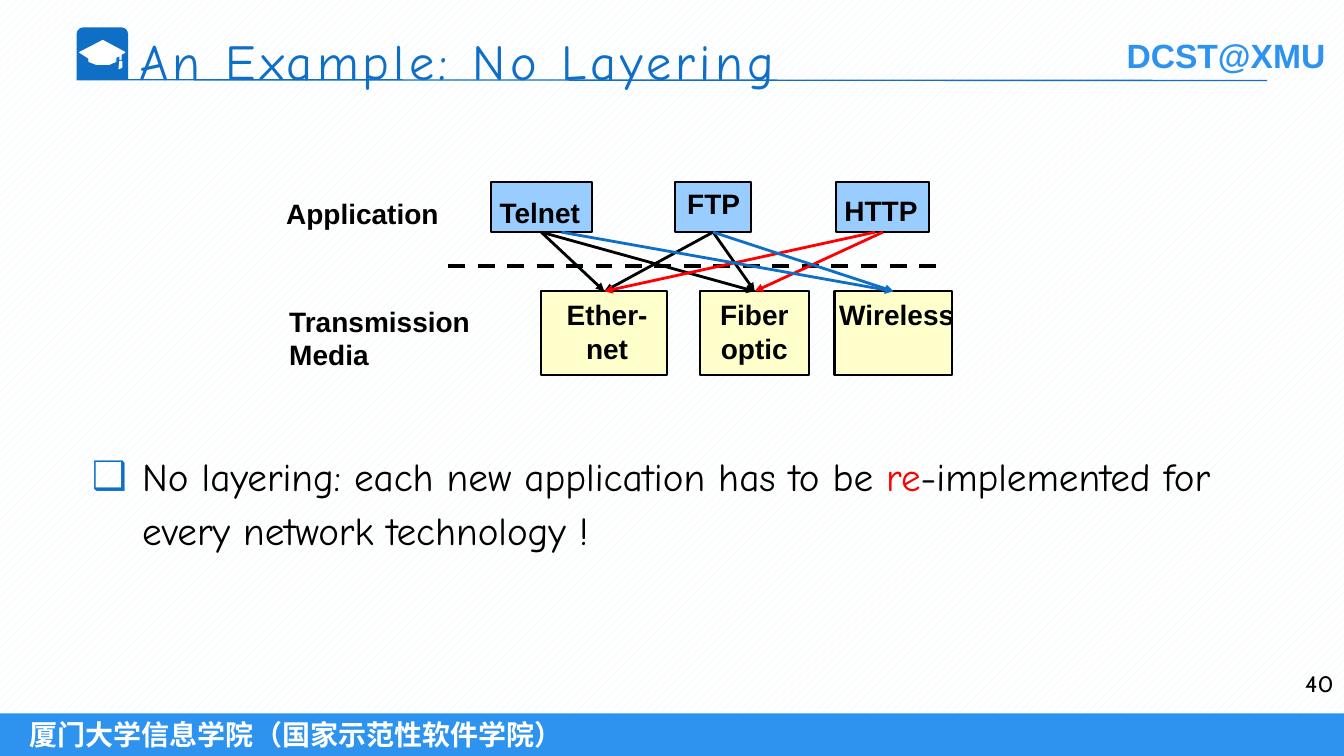
from lxml import etree
from pptx import Presentation
from pptx.dml.color import RGBColor
from pptx.enum.dml import MSO_LINE, MSO_PATTERN
from pptx.enum.shapes import MSO_CONNECTOR, MSO_SHAPE
from pptx.enum.text import MSO_ANCHOR, PP_ALIGN
from pptx.oxml.ns import qn
from pptx.util import Cm, Pt

RECTANGLE = MSO_SHAPE.RECTANGLE
ROUND_TOP = MSO_SHAPE.ROUND_2_SAME_RECTANGLE
STRAIGHT = MSO_CONNECTOR.STRAIGHT
DASH = MSO_LINE.DASH
DOTS = MSO_PATTERN.PERCENT_20
LEFT, CENTER, RIGHT = PP_ALIGN.LEFT, PP_ALIGN.CENTER, PP_ALIGN.RIGHT
TOP, MIDDLE = MSO_ANCHOR.TOP, MSO_ANCHOR.MIDDLE
TOP_SIDE, BOTTOM_SIDE = 0, 2

BLACK = RGBColor(0x00, 0x00, 0x00)
WHITE = RGBColor(0xFF, 0xFF, 0xFF)
RED = RGBColor(0xFF, 0x00, 0x00)
DEEP_BLUE = RGBColor(0x0F, 0x6F, 0xC6)
BRIGHT_BLUE = RGBColor(0x2D, 0x93, 0xEF)
PALE_BLUE = RGBColor(0xDB, 0xEF, 0xF9)
APPLICATION_BLUE = RGBColor(0x99, 0xCC, 0xFF)
MEDIA_YELLOW = RGBColor(0xFF, 0xFF, 0xCC)

SLIDE_WIDTH, SLIDE_HEIGHT = 33.87, 19.05
APPLICATION_TOP, APPLICATION_HEIGHT = 4.58, 1.27
MEDIA_TOP, MEDIA_HEIGHT = 7.34, 2.11


class SlideBuilder:
    heading_font = "Comic Neue"
    label_font = "Arial"
    number_font = "Cabin"

    def __init__(self, presentation):
        self.slide = presentation.slides.add_slide(presentation.slide_layouts[1])
        self.shapes = self.slide.shapes

    def box(self, left, top, width, height, fill, outline=None, kind=RECTANGLE):
        shape = self.shapes.add_shape(kind, Cm(left), Cm(top), Cm(width), Cm(height))
        shape.shadow.inherit = False
        shape.fill.solid()
        shape.fill.fore_color.rgb = fill
        if outline is None:
            shape.line.fill.background()
        else:
            shape.line.color.rgb = outline
            shape.line.width = Pt(1.5)
        return shape

    def backdrop(self):
        shape = self.box(0, 0, SLIDE_WIDTH, SLIDE_HEIGHT, WHITE)
        shape.fill.patterned()
        shape.fill.pattern = DOTS
        shape.fill.fore_color.rgb = PALE_BLUE
        shape.fill.back_color.rgb = WHITE

    def outline(self, contours, color):
        first, *others = contours
        builder = self.shapes.build_freeform(Cm(first[0][0]), Cm(first[0][1]))
        builder.add_line_segments([(Cm(x), Cm(y)) for x, y in first[1:]])
        for contour in others:
            builder.move_to(Cm(contour[0][0]), Cm(contour[0][1]))
            builder.add_line_segments([(Cm(x), Cm(y)) for x, y in contour[1:]])
        shape = builder.convert_to_shape()
        shape.shadow.inherit = False
        shape.fill.solid()
        shape.fill.fore_color.rgb = color
        shape.line.color.rgb = color
        shape.line.width = Pt(0.75)

    def run(self, paragraph, text, size, font, color, bold=False):
        run = paragraph.add_run()
        run.text = text
        run.font.size = Pt(size)
        run.font.name = font
        run.font.bold = bold
        run.font.color.rgb = color
        return run

    def label(self, left, top, width, height, lines, size=20, color=BLACK,
              align=LEFT, wrap=False, font=label_font, bold=True):
        frame = self.shapes.add_textbox(
            Cm(left), Cm(top), Cm(width), Cm(height)).text_frame
        frame.word_wrap = wrap
        for index, line in enumerate(lines):
            paragraph = frame.add_paragraph() if index else frame.paragraphs[0]
            paragraph.alignment = align
            self.run(paragraph, line, size, font, color, bold)

    def line(self, begin, end, color, width, dash=None, arrow=False):
        connector = self.shapes.add_connector(
            STRAIGHT, Cm(begin[0]), Cm(begin[1]), Cm(end[0]), Cm(end[1]))
        connector.line.color.rgb = color
        connector.line.width = Pt(width)
        if dash:
            connector.line.dash_style = dash
        if arrow:
            etree.SubElement(connector.line._get_or_add_ln(),
                             qn("a:tailEnd"), type="triangle")
        etree.SubElement(connector._element.spPr, qn("a:effectLst"))
        return connector

    def link(self, application, medium, color, begin=None):
        connector = self.line(begin or (0, 0), (0, 0), color, 2, arrow=True)
        if begin is None:
            connector.begin_connect(application, BOTTOM_SIDE)
        connector.end_connect(medium, TOP_SIDE)

    def placeholder(self, index, left, top, width, height):
        shape = self.slide.placeholders[index]
        shape.left, shape.top = Cm(left), Cm(top)
        shape.width, shape.height = Cm(width), Cm(height)
        shape.text_frame.vertical_anchor = TOP
        shape.text_frame.word_wrap = True
        element = shape._element
        element.getparent().append(element)
        paragraph = shape.text_frame.paragraphs[0]
        paragraph.alignment = LEFT
        paragraph.space_before = Pt(0)
        return paragraph

    def title(self, text):
        paragraph = self.placeholder(0, 3.25, 0.64, 23.7, 2.54)
        run = self.run(paragraph, text, 36, self.heading_font, DEEP_BLUE)
        run.font._element.set("spc", "300")

    def bullet(self, parts):
        paragraph = self.placeholder(1, 2.06, 11.11, 29.49, 6.3)
        paragraph.line_spacing = 1.14
        properties = paragraph._p.get_or_add_pPr()
        properties.set("marL", str(Cm(1.27)))
        properties.set("indent", str(-Cm(1.27)))
        bullet_color = etree.SubElement(properties, qn("a:buClr"))
        etree.SubElement(bullet_color, qn("a:srgbClr"), val=str(DEEP_BLUE))
        etree.SubElement(properties, qn("a:buChar"), char="❑")
        for text, color in parts:
            self.run(paragraph, text, 28, self.heading_font, color)

    def footer(self, text):
        bar = self.box(0, 17.98, SLIDE_WIDTH, 1.07, BRIGHT_BLUE)
        frame = bar.text_frame
        frame.margin_left = Cm(0.75)
        frame.vertical_anchor = MIDDLE
        frame.paragraphs[0].alignment = LEFT
        self.run(frame.paragraphs[0], text, 20, self.label_font, WHITE, True)


def main():
    presentation = Presentation()
    presentation.slide_width = Cm(SLIDE_WIDTH)
    presentation.slide_height = Cm(SLIDE_HEIGHT)
    builder = SlideBuilder(presentation)

    builder.backdrop()
    builder.footer("厦门大学信息学院（国家示范性软件学院）")
    builder.label(28.14, 0.75, 5.7, 1.27, ["DCST@XMU"], 24, BRIGHT_BLUE)
    tile = builder.box(1.93, 0.69, 1.3, 1.32, DEEP_BLUE, kind=ROUND_TOP)
    tile.adjustments[0] = 0.13
    cap_board = [(2.01, 1.32), (2.59, 1.02), (3.15, 1.32), (3.05, 1.37),
                 (3.05, 1.5), (3.02, 1.5), (3.02, 1.4), (2.92, 1.45),
                 (2.92, 1.55), (2.76, 1.62), (2.42, 1.62), (2.24, 1.55),
                 (2.24, 1.47)]
    tassel = [(3.02, 1.55), (3.07, 1.55), (3.07, 1.7), (3.0, 1.73)]
    builder.outline([cap_board, tassel], WHITE)
    builder.line((1.93, 2.01), (31.93, 2.03), DEEP_BLUE, 1)

    builder.title("An Example: No Layering")
    builder.bullet([("No layering: each new application has to be ", BLACK),
                    ("re", RED),
                    ("-implemented for every network technology !", BLACK)])
    builder.label(31.9, 16.76, 1.96, 1.27, ["40"], 16, align=RIGHT, wrap=True,
                  font=builder.number_font, bold=False)

    telnet, ftp, http = [
        builder.box(left, APPLICATION_TOP, width, APPLICATION_HEIGHT,
                    APPLICATION_BLUE, BLACK)
        for left, width in [(12.37, 2.54), (17.02, 1.9), (21.08, 2.34)]]
    ethernet, fiber, wireless = [
        builder.box(left, MEDIA_TOP, width, MEDIA_HEIGHT, MEDIA_YELLOW, BLACK)
        for left, width in [(13.64, 3.18), (17.65, 2.74), (21.03, 2.97)]]

    for left, top, width, text in [(12.34, 4.8, 2.8, "Telnet"),
                                   (17.07, 4.57, 2, "FTP"),
                                   (21.03, 4.75, 2.5, "HTTP"),
                                   (6.96, 4.83, 4.8, "Application")]:
        builder.label(left, top, width, 1.09, [text])
    builder.label(7.04, 7.54, 5.4, 1.96, ["Transmission", "Media"])
    builder.label(13.8, 7.37, 3, 1.96, ["Ether-net"], align=CENTER, wrap=True)
    builder.label(17.83, 7.37, 2.36, 1.96, ["Fiber", "optic"], align=CENTER, wrap=True)
    builder.label(20.6, 7.37, 4, 1.09, ["Wireless"], align=CENTER)

    builder.line((11.3, 6.71), (23.8, 6.71), BLACK, 3, DASH)
    for application in (telnet, ftp):
        for medium in (ethernet, fiber):
            builder.link(application, medium, BLACK)
    builder.link(http, ethernet, RED, (22.05, 5.85))
    builder.link(http, fiber, RED)
    builder.link(ftp, wireless, DEEP_BLUE)
    builder.link(telnet, wireless, DEEP_BLUE, (14.15, 5.85))

    presentation.save("out.pptx")


if __name__ == "__main__":
    main()
